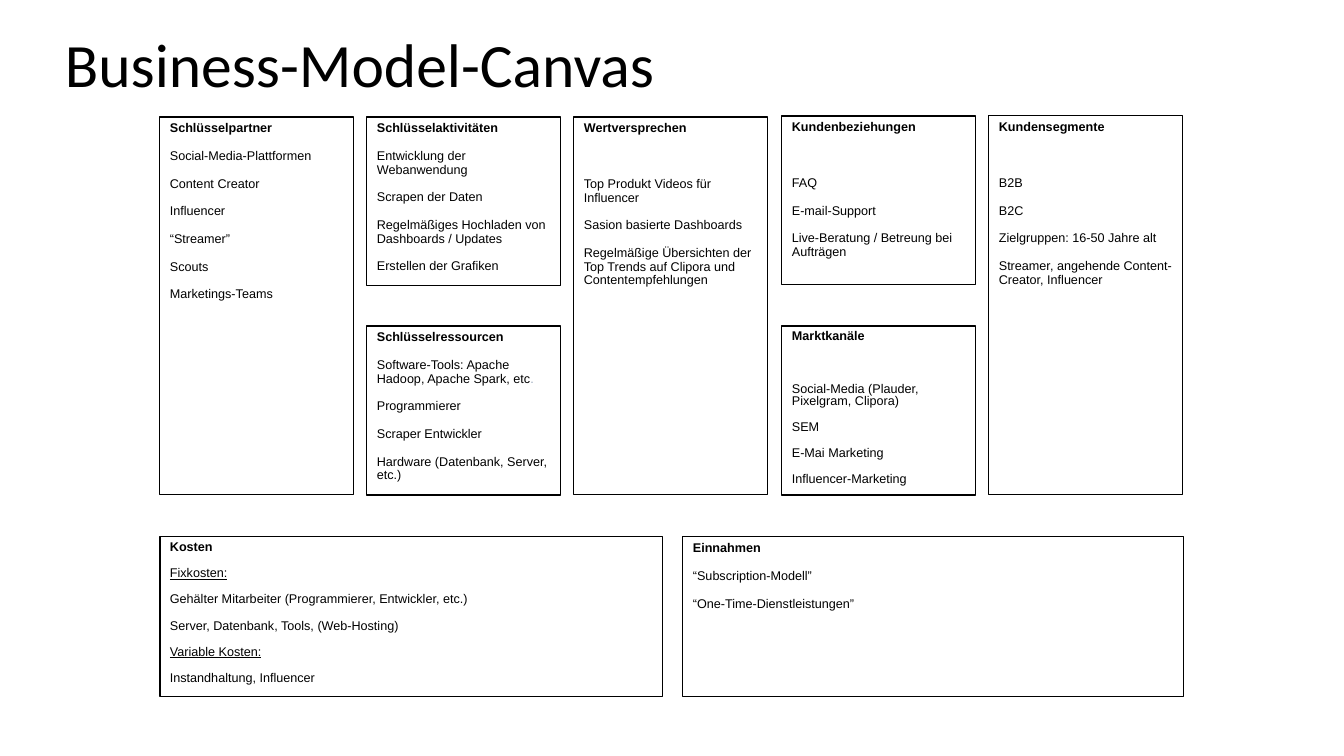
from pptx import Presentation
from pptx.dml.color import RGBColor
from pptx.enum.shapes import MSO_SHAPE as Shape
from pptx.enum.text import MSO_ANCHOR as Anchor, PP_ALIGN as Align
from pptx.util import Emu, Pt

SLIDE_W, SLIDE_H = 1344, 756
EMU_PER_PX = 12192000 / SLIDE_W
COLORS = {"paper": "FFFFFF", "ink": "000000", "faint": "99A8BD"}
FRAME = {"word_wrap": True, "vertical_anchor": Anchor.TOP}
BODY = {"name": "Arial", "size": Pt(9), "bold": False}
HEADING = {**BODY, "bold": True}
UNDERLINED = {**BODY, "underline": True}
TITLE = {"name": "Calibri", "size": Pt(44)}

COLUMN_LEFT, COLUMN_PITCH, COLUMN_W = 160, 207.25, 194
TALL_H, SHORT_H, FOOT_H = 378, 169, 160
UPPER_Y, RAISED_Y, LOWER_Y, FOOT_Y = 117, 116, 326, 537
NORMAL_GAP, WIDE_GAP, TIGHT_WIDE_GAP = 10, 30, 29

COLUMN_BLOCKS = [
    (0, UPPER_Y, TALL_H, 0.9, NORMAL_GAP, "Schlüsselpartner", [
        "Social-Media-Plattformen", "Content Creator", "Influencer",
        "“Streamer”", "Scouts", "Marketings-Teams"]),
    (1, UPPER_Y, SHORT_H, 0.9, NORMAL_GAP, "Schlüsselaktivitäten", [
        "Entwicklung der Webanwendung", "Scrapen der Daten",
        "Regelmäßiges Hochladen von Dashboards / Updates",
        "Erstellen der Grafiken"]),
    (2, UPPER_Y, TALL_H, 0.9, WIDE_GAP, "Wertversprechen", [
        "Top Produkt Videos für Influencer", "Sasion basierte Dashboards",
        "Regelmäßige Übersichten der Top Trends auf Clipora und "
        "Contentempfehlungen"]),
    (3, RAISED_Y, SHORT_H, 0.9, WIDE_GAP, "Kundenbeziehungen", [
        "FAQ", "E-mail-Support", "Live-Beratung / Betreung bei Aufträgen"]),
    (4, RAISED_Y, TALL_H + 1, 0.9, WIDE_GAP, "Kundensegmente", [
        "B2B", "B2C", "Zielgruppen: 16-50 Jahre alt",
        "Streamer, angehende Content-Creator, Influencer"]),
    (1, LOWER_Y, SHORT_H, 0.9, NORMAL_GAP, "Schlüsselressourcen", [
        [("Software-Tools: Apache Hadoop, Apache Spark, etc", BODY, "ink"),
         (".", BODY, "faint")],
        "Programmierer", "Scraper Entwickler",
        "Hardware (Datenbank, Server, etc.)"]),
    (3, LOWER_Y, SHORT_H, 0.8, TIGHT_WIDE_GAP, "Marktkanäle", [
        "Social-Media (Plauder, Pixelgram, Clipora)", "SEM",
        "E-Mai Marketing", "Influencer-Marketing"]),
]
FOOT_BLOCKS = [
    (160, 503, 0.8, "Kosten", [
        [("Fixkosten:", UNDERLINED, "ink")],
        "Gehälter Mitarbeiter (Programmierer, Entwickler, etc.)",
        "Server, Datenbank, Tools, (Web-Hosting)",
        [("Variable Kosten:", UNDERLINED, "ink")],
        "Instandhaltung, Influencer"]),
    (683, 501, 0.9, "Einnahmen", [
        "“Subscription-Modell”", "“One-Time-Dienstleistungen”"]),
]


def px(length):
    """Turn px into EMU."""
    return Emu(round(length * EMU_PER_PX))


def color(name):
    """Look up a named colour."""
    return RGBColor.from_string(COLORS[name])


def apply(target, values):
    """Set every attribute given in a dict of format values."""
    for attribute, value in values.items():
        setattr(target, attribute, value)


def write(paragraph, runs, spacing, gap=0):
    """Fill a paragraph with formatted runs."""
    apply(paragraph, {"alignment": Align.LEFT, "line_spacing": spacing,
                      "space_before": Pt(gap)})
    for words, font_values, ink in runs:
        run = paragraph.add_run()
        run.text = words
        apply(run.font, font_values)
        run.font.color.rgb = color(ink)


def add_title(slide, box):
    """Place the slide title in its box."""
    title = slide.shapes.add_textbox(*map(px, box)).text_frame
    apply(title, FRAME)
    write(title.paragraphs[0], [("Business-Model-Canvas", TITLE, "ink")], 0.9)


def add_block(slide, box, spacing, first_gap, heading, entries):
    """Place one outlined canvas block with its heading and entries."""
    block = slide.shapes.add_shape(Shape.RECTANGLE, *map(px, box))
    block.shadow.inherit = False
    block.fill.solid()
    block.fill.fore_color.rgb = color("paper")
    block.line.color.rgb = color("ink")
    block.line.width = Pt(0.75)
    content = block.text_frame
    apply(content, FRAME)
    write(content.paragraphs[0], [(heading, HEADING, "ink")], spacing)
    for index, entry in enumerate(entries):
        runs = [(entry, BODY, "ink")] if isinstance(entry, str) else entry
        gap = NORMAL_GAP if index else first_gap
        write(content.add_paragraph(), runs, spacing, gap)


def add_canvas(slide):
    """Lay out the five columns and the two blocks at the foot."""
    for column, top, height, *content in COLUMN_BLOCKS:
        left = COLUMN_LEFT + round(column * COLUMN_PITCH)
        add_block(slide, (left, top, COLUMN_W, height), *content)
    for left, width, spacing, heading, entries in FOOT_BLOCKS:
        add_block(slide, (left, FOOT_Y, width, FOOT_H), spacing, NORMAL_GAP,
                  heading, entries)


def main():
    """Build and save the presentation."""
    deck = Presentation()
    apply(deck, {"slide_width": px(SLIDE_W), "slide_height": px(SLIDE_H)})
    slide = deck.slides.add_slide(deck.slide_layouts[6])
    add_canvas(slide)
    add_title(slide, (55, 29, 835, 44))
    deck.save("out.pptx")


if __name__ == "__main__":
    main()
